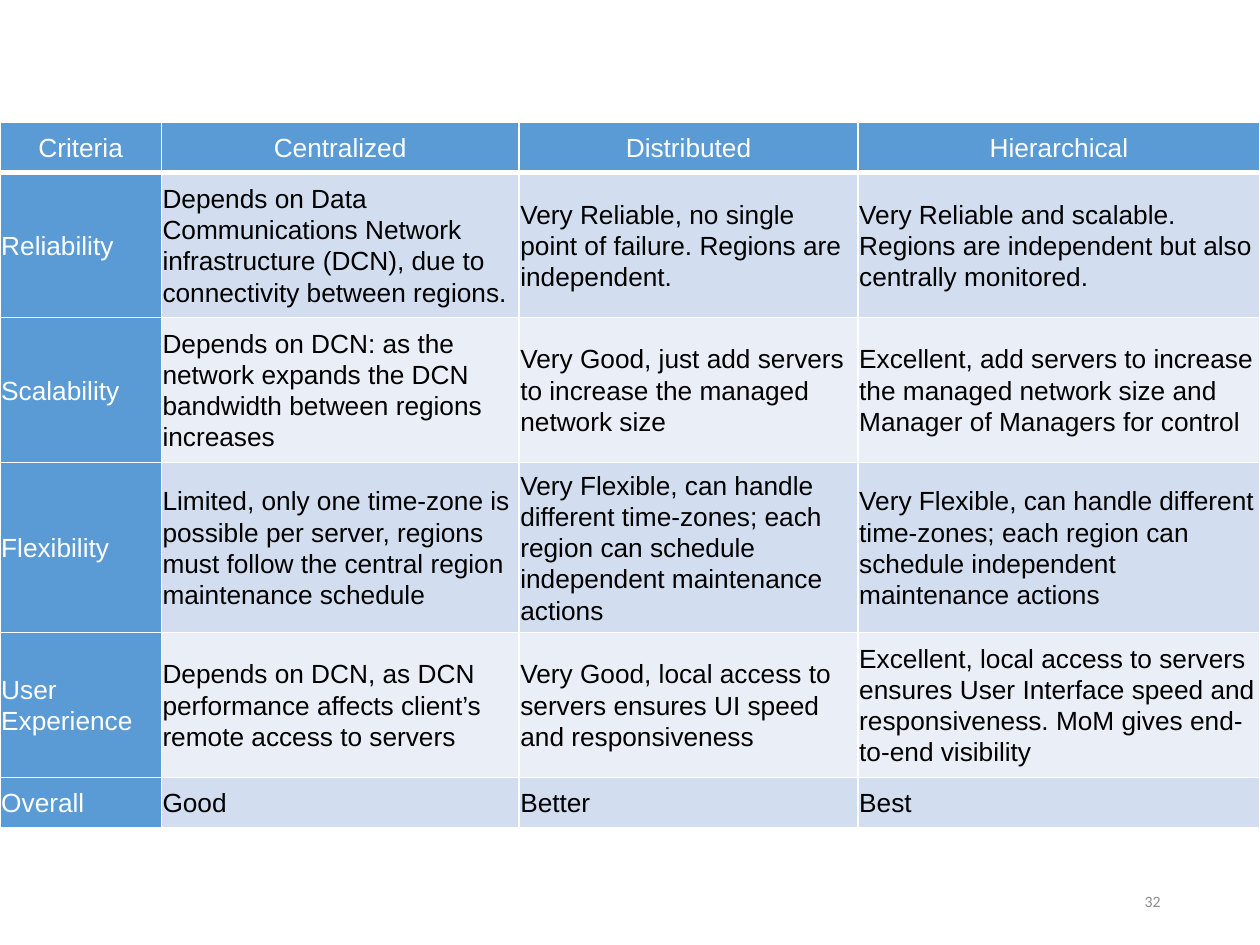
import pptx
import pptx.dml.color
import pptx.enum.text
import pptx.oxml
import pptx.oxml.ns
import pptx.util
from pptx.util import Inches

HEADINGS = ("Criteria", "Centralized", "Distributed", "Hierarchical")
CRITERIA = [
    (
        "Reliability",
        "Depends on Data Communications Network infrastructure (DCN), due to connectivity between regions.",
        "Very Reliable, no single point of failure. Regions are independent.",
        "Very Reliable and scalable. Regions are independent but also centrally monitored.",
    ),
    (
        "Scalability",
        "Depends on DCN: as the network expands the DCN bandwidth between regions increases",
        "Very Good, just add servers to increase the managed network size",
        "Excellent, add servers to increase the managed network size and Manager of Managers for control",
    ),
    (
        "Flexibility",
        "Limited, only one time-zone is possible per server, regions must follow the central region maintenance schedule",
        "Very Flexible, can handle different time-zones; each region can schedule independent maintenance actions",
        "Very Flexible, can handle different time-zones; each region can schedule independent maintenance actions",
    ),
    (
        "User Experience",
        "Depends on DCN, as DCN performance affects client’s remote access to servers",
        "Very Good, local access to servers ensures UI speed and responsiveness",
        "Excellent, local access to servers ensures User Interface speed and responsiveness. MoM gives end-to-end visibility",
    ),
    ("Overall", "Good", "Better", "Best"),
]
PAGE_NUMBER = "32"
COLUMN_WIDTHS = (1.28, 2.84, 2.69, 3.19)
ROW_HEIGHTS = (0.4, 1.15, 1.15, 1.35, 1.15, 0.4)
CELL_MARGIN = 0.01

THEME = {
    "table_font": "Arial",
    "table_size": 15,
    "line_spacing": 1.07,
    "number_font": "Calibri",
    "number_size": 9,
    "accent": "5B9BD5",
    "bands": ("D2DEEF", "EAEFF7"),
    "light": "FFFFFF",
    "dark": "000000",
    "number": "8C8C8C",
    "border": 1,
    "header_border": 3,
}


def add_run(paragraph, text, font, size, color):
    run = paragraph.add_run()
    run.text = text
    run.font.name = font
    run.font.size = pptx.util.Pt(size)
    run.font.bold = False
    run.font.color.rgb = pptx.dml.color.RGBColor.from_string(color)


def add_borders(cell, bottom_width):
    properties = cell._tc.get_or_add_tcPr()
    for side in "LRTB":
        width = pptx.util.Pt(bottom_width if side == "B" else THEME["border"])
        properties.append(pptx.oxml.parse_xml(
            f'<a:ln{side} {pptx.oxml.ns.nsdecls("a")} w="{width}"><a:solidFill>'
            f'<a:srgbClr val="{THEME["light"]}"/></a:solidFill></a:ln{side}>'
        ))


def fill_cell(cell, text, row, column):
    is_heading = row == 0
    is_accent = is_heading or column == 0
    cell.vertical_anchor = pptx.enum.text.MSO_ANCHOR.MIDDLE
    cell.margin_left = cell.margin_right = Inches(CELL_MARGIN)
    cell.margin_top = cell.margin_bottom = Inches(CELL_MARGIN)
    add_borders(cell, THEME["header_border"] if is_heading else THEME["border"])
    fill = THEME["accent"] if is_accent else THEME["bands"][(row - 1) % 2]
    cell.fill.solid()
    cell.fill.fore_color.rgb = pptx.dml.color.RGBColor.from_string(fill)
    paragraph = cell.text_frame.paragraphs[0]
    alignment = pptx.enum.text.PP_ALIGN
    paragraph.alignment = alignment.CENTER if is_heading else alignment.LEFT
    paragraph.line_spacing = THEME["line_spacing"]
    color = THEME["light"] if is_accent else THEME["dark"]
    add_run(paragraph, text, THEME["table_font"], THEME["table_size"], color)


def add_comparison(slide):
    rows = [HEADINGS, *CRITERIA]
    table = slide.shapes.add_table(
        len(rows), len(HEADINGS), Inches(0), Inches(0.97),
        Inches(sum(COLUMN_WIDTHS)), Inches(sum(ROW_HEIGHTS)),
    ).table
    for column, width in zip(table.columns, COLUMN_WIDTHS):
        column.width = Inches(width)
    for row, height in zip(table.rows, ROW_HEIGHTS):
        row.height = Inches(height)
    for row, texts in enumerate(rows):
        for column, text in enumerate(texts):
            fill_cell(table.cell(row, column), text, row, column)


def add_page_number(slide):
    shape = slide.shapes.add_textbox(Inches(7.06), Inches(6.95), Inches(2.25), Inches(0.4))
    frame = shape.text_frame
    frame.word_wrap = True
    frame.vertical_anchor = pptx.enum.text.MSO_ANCHOR.MIDDLE
    paragraph = frame.paragraphs[0]
    paragraph.alignment = pptx.enum.text.PP_ALIGN.RIGHT
    add_run(paragraph, PAGE_NUMBER, THEME["number_font"], THEME["number_size"], THEME["number"])


def main():
    presentation = pptx.Presentation()
    presentation.slide_width = Inches(10)
    presentation.slide_height = Inches(7.5)
    slide = presentation.slides.add_slide(presentation.slide_layouts[6])
    add_comparison(slide)
    add_page_number(slide)
    presentation.save("out.pptx")


if __name__ == "__main__":
    main()
